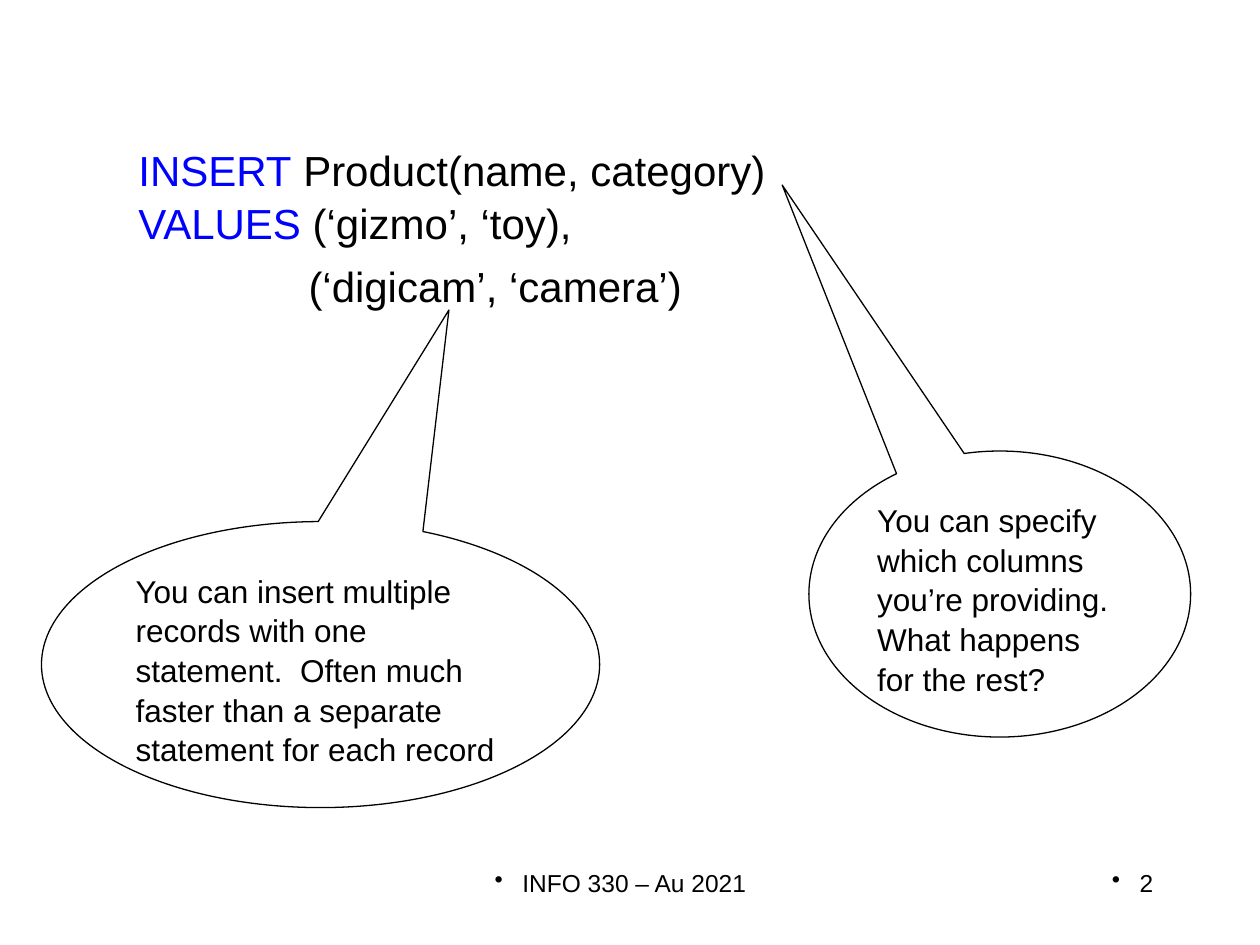
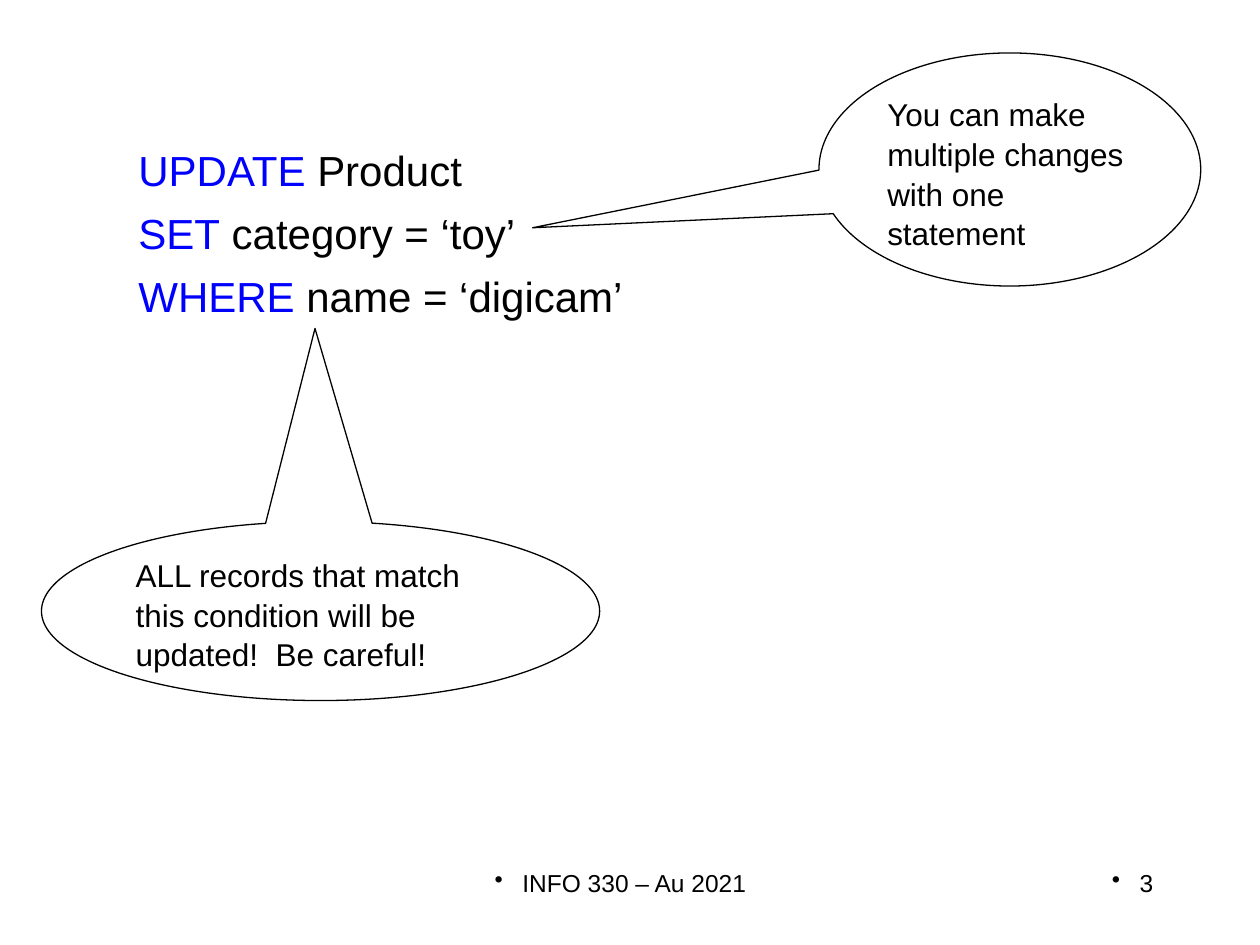
"""Build two slides that explain SQL INSERT and UPDATE with callouts."""
import pptx
import pptx.dml.color
import pptx.enum.shapes
import pptx.enum.text
import pptx.oxml
import pptx.oxml.ns
import pptx.util

Inches = pptx.util.Inches
Pt = pptx.util.Pt
ALIGN = pptx.enum.text.PP_ALIGN

BLACK = pptx.dml.color.RGBColor(0x00, 0x00, 0x00)
KEYWORD_BLUE = pptx.dml.color.RGBColor(0x00, 0x00, 0xFF)
FONT = "Arial"
LINE_SPACING = 1.05
CODE_GAP = 5.8
VALUES_INDENT = 1.35
BULLET_INDENT = 0.22
FOOTER_TOP = 6.83
FOOTER_TEXT = "INFO 330 – Au 2021"


def add_span(para, text, size=18, color=BLACK):
    """Add a run of text in the deck's font."""
    span = para.add_run()
    span.text = text
    span.font.name = FONT
    span.font.size = Pt(size)
    span.font.color.rgb = color


def format_para(para, align=ALIGN.LEFT, gap=0, indent=0, bullet=False):
    """Set alignment, spacing, indent and bullet of a paragraph."""
    para.alignment = align
    para.line_spacing = LINE_SPACING
    para.space_before = Pt(gap)
    properties = para._p.get_or_add_pPr()
    properties.set("marL", str(Inches(indent)))
    if bullet:
        properties.set("indent", str(-Inches(indent)))
        mark = pptx.oxml.parse_xml(
            f'<a:buChar {pptx.oxml.ns.nsdecls("a")} char="•"/>')
        properties.append(mark)


def add_text_box(page, left, top, width, height):
    """Add an empty wrapping text box and return its text frame."""
    box = page.shapes.add_textbox(
        Inches(left), Inches(top), Inches(width), Inches(height))
    box.text_frame.word_wrap = True
    return box.text_frame


def add_footer_item(page, text, left, width, align, right_inset=0.1):
    """Add one bulleted footer entry."""
    frame = add_text_box(page, left, FOOTER_TOP, width, 0.5)
    frame.margin_right = Inches(right_inset)
    para = frame.paragraphs[0]
    format_para(para, align=align, indent=BULLET_INDENT, bullet=True)
    add_span(para, text, size=14)


def add_code(page, lines, height):
    """Add SQL lines given as keyword, rest, gap before and indent."""
    frame = add_text_box(page, 1, 1.08, 5.25, height)
    for number, (keyword, rest, gap, indent) in enumerate(lines):
        para = frame.add_paragraph() if number else frame.paragraphs[0]
        format_para(para, gap=gap, indent=indent)
        if keyword:
            add_span(para, keyword, size=24, color=KEYWORD_BLUE)
        add_span(para, rest, size=24)


def add_callout(page, text, left, top, width, height, pointer):
    """Add an outlined elliptical callout whose tip is at pointer."""
    callout = page.shapes.add_shape(
        pptx.enum.shapes.MSO_SHAPE.OVAL_CALLOUT,
        Inches(left), Inches(top), Inches(width), Inches(height))
    callout.adjustments[0], callout.adjustments[1] = pointer
    callout.shadow.inherit = False
    callout.fill.background()
    callout.line.color.rgb = BLACK
    callout.line.width = Pt(0.75)
    frame = callout.text_frame
    frame.word_wrap = True
    frame.vertical_anchor = pptx.enum.text.MSO_ANCHOR.TOP
    para = frame.paragraphs[0]
    format_para(para)
    add_span(para, text)


def add_page(deck, number):
    """Add a blank page with the shared footer."""
    page = deck.slides.add_slide(deck.slide_layouts[6])
    add_footer_item(page, FOOTER_TEXT, 3.17, 3.67, ALIGN.CENTER,
                    right_inset=0.26)
    add_footer_item(page, str(number), 7.17, 2.08, ALIGN.RIGHT)
    return page


def main():
    """Build and save the deck."""
    deck = pptx.Presentation()
    deck.slide_width = Inches(10)
    deck.slide_height = Inches(7.5)

    insert_page = add_page(deck, 2)
    add_code(insert_page, [
        ("INSERT", " Product(name, category)", 0, 0),
        ("VALUES", " (‘gizmo’, ‘toy),", 0, 0),
        ("", "(‘digicam’, ‘camera’)", CODE_GAP, VALUES_INDENT),
    ], height=1.39)
    add_callout(
        insert_page,
        "You can specify which columns you’re providing.  "
        "What happens for the rest?",
        6.42, 3.58, 3.03, 2.27, pointer=(-0.57, -1.43))
    add_callout(
        insert_page,
        "You can insert multiple records with one statement.  "
        "Often much faster than a separate statement for each record",
        0.33, 4.14, 4.43, 2.27, pointer=(0.23, -1.24))

    update_page = add_page(deck, 3)
    add_code(update_page, [
        ("UPDATE", " Product", 0, 0),
        ("SET", " category = ‘toy’", CODE_GAP, 0),
        ("WHERE", " name = ‘digicam’", CODE_GAP, 0),
    ], height=1.47)
    add_callout(
        update_page, "You can make multiple changes with one statement",
        6.5, 0.42, 3.03, 1.85, pointer=(-1.25, 0.25))
    add_callout(
        update_page,
        "ALL records that match this condition will be updated!  Be careful!",
        0.33, 4.14, 4.43, 1.42, pointer=(-0.01, -1.58))

    deck.save("out.pptx")


if __name__ == "__main__":
    main()
